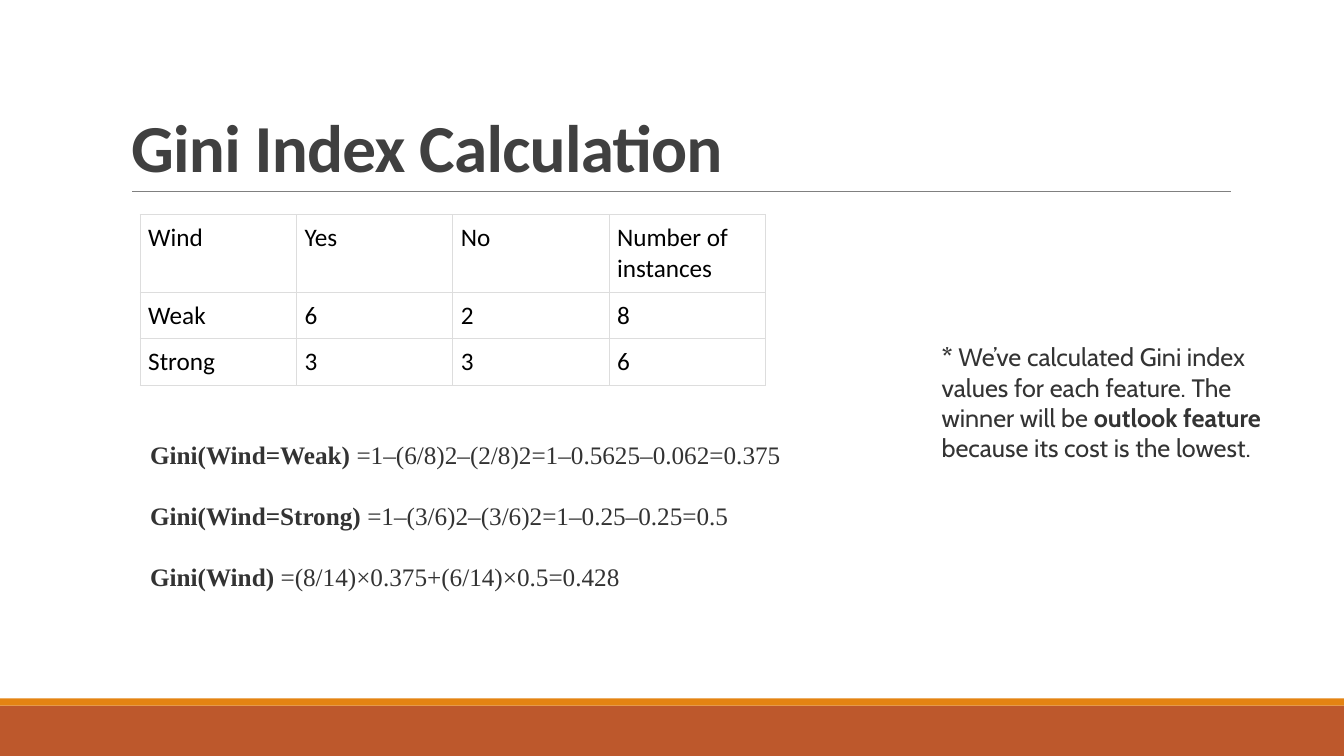
from dataclasses import dataclass

from lxml.etree import SubElement
from pptx import Presentation
from pptx.dml.color import RGBColor
from pptx.enum.shapes import MSO_CONNECTOR, MSO_SHAPE
from pptx.enum.text import MSO_ANCHOR, MSO_AUTO_SIZE, PP_ALIGN
from pptx.oxml import parse_xml
from pptx.oxml.ns import nsdecls, qn
from pptx.util import Emu, Pt

EMU_PER_PX = 9144  # 100 px to the inch
TEXT_GREY = "333333"


def px(length: int) -> Emu:
    return Emu(length * EMU_PER_PX)


def colour(hex_code: str) -> RGBColor:
    return RGBColor.from_string(hex_code)


@dataclass(frozen=True)
class Box:
    left: int
    top: int
    width: int
    height: int

    def emu(self) -> tuple[Emu, Emu, Emu, Emu]:
        return px(self.left), px(self.top), px(self.width), px(self.height)


@dataclass(frozen=True)
class Band:
    box: Box
    fill: str


@dataclass(frozen=True)
class Span:
    text: str
    bold: bool = False


@dataclass(frozen=True)
class TextBlock:
    box: Box
    font: str
    anchor: MSO_ANCHOR
    gap: int  # points between paragraphs
    paragraphs: list[list[Span]]


FOOTER_BANDS = [
    Band(Box(0, 700, 1333, 50), "BD582C"),
    Band(Box(0, 693, 1333, 7), "E48312"),
]

WIND_COUNTS = [
    ["Wind", "Yes", "No", "Number of instances"],
    ["Weak", "6", "2", "8"],
    ["Strong", "3", "3", "6"],
]
COLUMN_WIDTH = 155
ROW_HEIGHTS = [77, 46, 46]

FORMULAS = TextBlock(
    Box(139, 430, 1116, 162), "Times New Roman", MSO_ANCHOR.MIDDLE, 22,
    [
        [Span("Gini(Wind=Weak) ", True),
         Span("=1–(6/8)2–(2/8)2=1–0.5625–0.062=0.375")],
        [Span("Gini(Wind=Strong) ", True),
         Span("=1–(3/6)2–(3/6)2=1–0.25–0.25=0.5")],
        [Span("Gini(Wind) ", True),
         Span("=(8/14)×0.375+(6/14)×0.5=0.428")],
    ],
)
CONCLUSION = TextBlock(
    Box(924, 334, 369, 131), "Cabin", MSO_ANCHOR.TOP, 0,
    [[
        Span("*", True),
        Span(" We’ve calculated Gini index values for each feature. "
             "The winner will be "),
        Span("outlook feature", True),
        Span(" because its cost is the lowest."),
    ]],
)


def style_font(font, name: str, size: int, hex_code: str) -> None:
    font.name = name
    font.size = Pt(size)
    font.color.rgb = colour(hex_code)


def draw_band(slide, band: Band) -> None:
    bar = slide.shapes.add_shape(MSO_SHAPE.RECTANGLE, *band.box.emu())
    bar.shadow.inherit = False
    bar.fill.solid()
    bar.fill.fore_color.rgb = colour(band.fill)
    bar.line.fill.background()


def draw_title_rule(slide) -> None:
    rule = slide.shapes.add_connector(
        MSO_CONNECTOR.STRAIGHT, px(131), px(190), px(1221), px(190))
    rule.line.color.rgb = colour("808080")
    rule.line.width = Pt(0.5)
    SubElement(rule._element.spPr, qn("a:effectLst"))


def fill_title(slide) -> None:
    title = slide.shapes.title
    title.left, title.top, title.width, title.height = Box(120, 31, 1100, 159).emu()
    frame = title.text_frame
    frame.auto_size = MSO_AUTO_SIZE.NONE
    frame.vertical_anchor = MSO_ANCHOR.BOTTOM
    heading = frame.paragraphs[0]
    heading.alignment = PP_ALIGN.LEFT
    heading.line_spacing = 0.85
    style_font(heading.font, "Calibri", 48, "404040")
    heading.font.bold = True
    run = heading.add_run()
    run.text = "Gini Index Calculation"
    run._r.get_or_add_rPr().set("spc", "-50")


def draw_text(slide, block: TextBlock) -> None:
    frame = slide.shapes.add_textbox(*block.box.emu()).text_frame
    frame.word_wrap = True
    frame.vertical_anchor = block.anchor
    for index, spans in enumerate(block.paragraphs):
        paragraph = frame.add_paragraph() if index else frame.paragraphs[0]
        paragraph.space_before = Pt(block.gap if index else 0)
        style_font(paragraph.font, block.font, 18, TEXT_GREY)
        for span in spans:
            run = paragraph.add_run()
            run.text = span.text
            run.font.bold = span.bold


def add_cell_borders(cell, hex_code: str) -> None:
    properties = cell._tc.get_or_add_tcPr()
    for index, side in enumerate(("lnL", "lnR", "lnT", "lnB")):
        properties.insert(index, parse_xml(
            f'<a:{side} {nsdecls("a")} w="{Pt(0.75)}"><a:solidFill>'
            f'<a:srgbClr val="{hex_code}"/></a:solidFill></a:{side}>'))


def draw_wind_table(slide) -> None:
    box = Box(139, 213, COLUMN_WIDTH * len(WIND_COUNTS[0]), sum(ROW_HEIGHTS))
    table = slide.shapes.add_table(
        len(WIND_COUNTS), len(WIND_COUNTS[0]), *box.emu()).table
    table.first_row = False
    table.horz_banding = False
    for row, height in zip(table.rows, ROW_HEIGHTS):
        row.height = px(height)
    for row_index, values in enumerate(WIND_COUNTS):
        for column_index, value in enumerate(values):
            cell = table.cell(row_index, column_index)
            cell.margin_left = cell.margin_right = px(8)
            cell.margin_top = cell.margin_bottom = px(8)
            cell.fill.solid()
            cell.fill.fore_color.rgb = colour("FFFFFF")
            cell.text = value
            style_font(cell.text_frame.paragraphs[0].font, "Calibri", 18, "000000")
            add_cell_borders(cell, "DDDDDD")


def main() -> None:
    deck = Presentation()
    deck.slide_width, deck.slide_height = px(1333), px(750)
    slide = deck.slides.add_slide(deck.slide_layouts.get_by_name("Title Only"))

    # Footer bands and the rule under the title
    for band in FOOTER_BANDS:
        draw_band(slide, band)
    draw_title_rule(slide)

    # Title, table and calculations
    fill_title(slide)
    draw_text(slide, FORMULAS)
    draw_wind_table(slide)
    draw_text(slide, CONCLUSION)

    deck.save("out.pptx")


if __name__ == "__main__":
    main()
